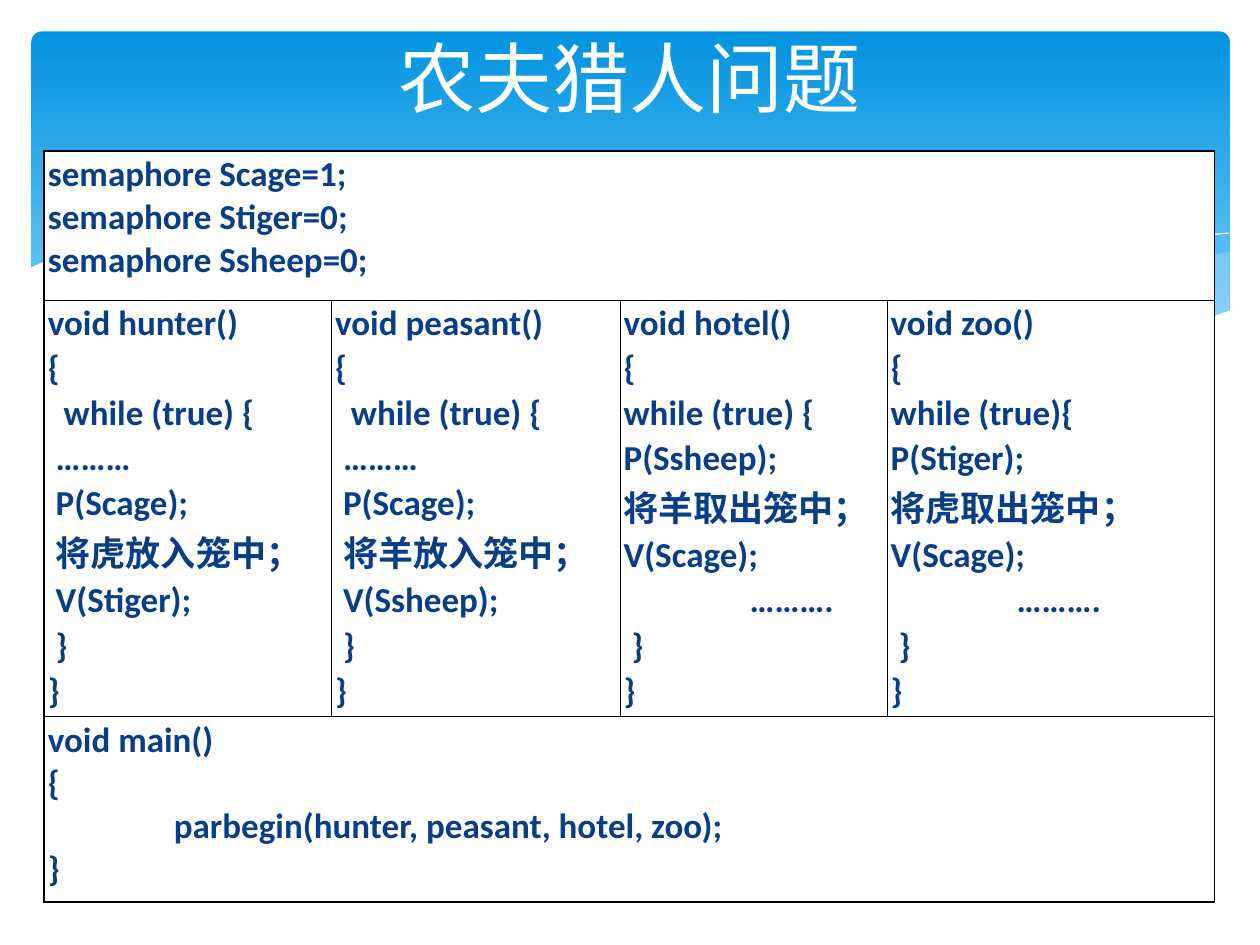
from lxml.etree import SubElement
from pptx import Presentation
from pptx.dml.color import RGBColor as Rgb
from pptx.enum.shapes import MSO_SHAPE as Shape
from pptx.enum.text import MSO_ANCHOR as Anchor, PP_ALIGN as Align
from pptx.oxml.ns import qn
from pptx.util import Inches, Pt

COLOURS = {"top": "0293E0", "bottom": "83D3FE", "mist": "C6E7FC",
           "paper": "FFFFFF", "code": "073E87", "rule": "000000"}
FONT = "Calibri"
UNIT = Inches(0.1)
PAGE = (100, 75)
THICK, THIN = 1.08, 0.45

RIGHT_MIST = [(97.6, 20), (94.8, 20.4), (92.1, 21), (89.1, 21.6), (86.1, 22.3),
              (80.5, 23.7), (75.3, 24.8), (70.6, 25.7), (66.1, 26.5), (69.1, 26.9),
              (71.8, 27.3), (74.5, 27.5), (78.1, 27.7), (81.4, 27.8), (85.4, 27.6),
              (88.1, 27.3), (90.5, 26.9), (92.8, 26.3), (94.9, 25.7), (97.6, 24.7)]
LONG_MIST = [(89.3, 27.3), (86.6, 26.9), (80.7, 26), (74.1, 24.7), (66.8, 23.1),
             (61.3, 21.8), (56.9, 20.8), (52.7, 20), (48.9, 19.4), (44.1, 18.9),
             (39.9, 18.6), (36.1, 18.5), (32.8, 18.7), (28.6, 19.1), (32.3, 19.6),
             (36.2, 20.3), (40.4, 21.1), (44.9, 22.2), (53, 24), (60.1, 25.5),
             (66.5, 26.6), (72.2, 27.4), (77.3, 27.8), (81.8, 27.9), (85.7, 27.7)]
LONG_CREST = [(30.9, 19.5), (33.5, 19.1), (37.4, 18.8), (41.6, 18.7), (46.9, 18.9),
              (53.2, 19.4), (60.8, 20.4), (66.5, 21.3), (72.7, 22.6), (79.5, 24.2),
              (86.8, 26.1), (90.7, 27.2)]
RIGHT_CREST = [(61.3, 25.7), (65.2, 24.6), (69.5, 23.5), (74.8, 22.3), (80.6, 21),
               (86.6, 19.9), (91, 19.2), (95.1, 18.7), (97.5, 18.5)]
WHITE_WAVE = [(97.7, 24.6), (95, 25.6), (92, 26.5), (88.7, 27.1), (85, 27.5),
              (80.9, 27.7), (76.1, 27.5), (70.8, 27), (64.7, 26.2), (57.9, 25),
              (50.3, 23.3), (41.8, 21.3), (36.5, 20.2), (31.5, 19.4), (27.1, 18.8),
              (23, 18.5), (19.3, 18.4), (16.1, 18.4), (13.2, 18.6), (10.6, 18.9),
              (8.5, 19.3), (6.7, 19.7), (5.2, 20.1), (3.6, 20.7), (2.3, 21.3),
              (2.3, 32.9), (97.7, 32.9)]

DECLARATIONS = ["semaphore Scage=1;", "semaphore Stiger=0;", "semaphore Ssheep=0;"]
MAIN = ["void main()", "{", "\tparbegin(hunter, peasant, hotel, zoo);", "}"]


def grid(*steps):
    """Turn grid steps into slide lengths."""
    return [round(step * UNIT) for step in steps]


def colour(name):
    """Look up a named colour."""
    return Rgb.from_string(COLOURS[name])


def producer(name, animal, signal):
    """Return the code of a process that fills the cage."""
    return [f"void {name}()", "{", "  while (true) {", " ………", " P(Scage);",
            f" 将{animal}放入笼中；", f" V({signal});", " }", "}"]


def consumer(name, loop, animal, signal):
    """Return the code of a process that empties the cage."""
    return [f"void {name}()", "{", loop, f"P({signal});", f"将{animal}取出笼中；",
            "V(Scage);", "\t……….", " }", "}"]


def add_tabs(para):
    """Give a paragraph left tab stops at every inch."""
    stops = SubElement(para._p.get_or_add_pPr(), qn("a:tabLst"))
    for inch in range(8):
        SubElement(stops, qn("a:tab"), pos=str(Inches(inch)), algn="l")


def add_span(para, text, size, name, bold=False):
    """Add one styled run."""
    span = para.add_run()
    span.text = text
    span.font.name, span.font.size, span.font.bold = FONT, Pt(size), bold
    span.font.color.rgb = colour(name)


def add_wave(page, points, fill=None, opacity=100):
    """Draw a filled wave, or an open white crest when no fill is given."""
    corners = [tuple(grid(*point)) for point in points]
    builder = page.shapes.build_freeform(*corners[0], scale=1.0)
    builder.add_line_segments(corners[1:], close=bool(fill))
    wave = builder.convert_to_shape()
    wave.shadow.inherit = False
    if fill is None:
        wave.fill.background()
        wave.line.color.rgb = colour("paper")
        wave.line.width = Pt(0)
        return
    wave.line.fill.background()
    wave.fill.solid()
    wave.fill.fore_color.rgb = colour(fill)
    if opacity < 100:
        tint = wave._element.spPr.find(f".//{qn('a:srgbClr')}")
        SubElement(tint, qn("a:alpha"), val=str(opacity * 1000))


def add_backdrop(page, box):
    """Place the gradient panel and the waves across it."""
    panel = page.shapes.add_shape(Shape.ROUNDED_RECTANGLE, *grid(*box))
    panel.adjustments[0] = 0.03
    panel.shadow.inherit = False
    panel.line.fill.background()
    panel.fill.gradient()
    panel.fill.gradient_angle = 270
    for stop, name in zip(panel.fill.gradient_stops, ("top", "bottom")):
        stop.color.rgb = colour(name)
    add_wave(page, RIGHT_MIST, "mist", 29)
    add_wave(page, LONG_MIST, "mist", 40)
    add_wave(page, LONG_CREST)
    add_wave(page, RIGHT_CREST)
    add_wave(page, WHITE_WAVE, "paper")


def add_title(page, box, text):
    """Place the centred title."""
    frame = page.shapes.add_textbox(*grid(*box)).text_frame
    frame.word_wrap = True
    frame.vertical_anchor = Anchor.MIDDLE
    para = frame.paragraphs[0]
    add_tabs(para)
    para.alignment = Align.CENTER
    add_span(para, text, 44, "paper")


def style_cell(cell, widths):
    """Set margins, borders and fill of a cell."""
    cell.margin_left, cell.margin_right = grid(0.3, 0.1)
    cell.margin_top, cell.margin_bottom = grid(0.5, 0.5)
    properties = cell._tc.get_or_add_tcPr()
    for side, width in zip("LRTB", widths):
        edge = SubElement(properties, qn(f"a:ln{side}"), w=str(Pt(width)))
        paint = SubElement(edge, qn("a:solidFill"))
        SubElement(paint, qn("a:srgbClr"), val=COLOURS["rule"])
    cell.fill.solid()
    cell.fill.fore_color.rgb = colour("paper")


def write_code(cell, lines, gap):
    """Write code lines into a cell, one paragraph each."""
    for index, line in enumerate(lines):
        para = cell.text_frame.paragraphs[0] if index == 0 else cell.text_frame.add_paragraph()
        add_tabs(para)
        para.line_spacing = 0.85
        para.space_before = Pt(gap if index else 0)
        add_span(para, line, 20, "code", True)


def add_code_table(page, box, columns, rows, processes):
    """Place the table of declarations, processes and main program."""
    table = page.shapes.add_table(len(rows), len(columns), *grid(*box)).table
    table.first_row = table.horz_banding = False
    for column, width in zip(table.columns, grid(*columns)):
        column.width = width
    for row, height in zip(table.rows, grid(*rows)):
        row.height = height
    last_row, last_column = len(rows) - 1, len(columns) - 1
    for r in range(len(rows)):
        for c in range(len(columns)):
            outer = (c == 0 or r != 1, c == last_column or r != 1, r == 0, r == last_row)
            style_cell(table.cell(r, c), [THICK if edge else THIN for edge in outer])
    for r, lines in ((0, DECLARATIONS), (last_row, MAIN)):
        table.cell(r, 0).merge(table.cell(r, last_column))
        write_code(table.cell(r, 0), lines, 3.7)
    for c, lines in enumerate(processes):
        write_code(table.cell(1, c), lines, 5)


def main():
    """Build and save the deck."""
    deck = Presentation()
    deck.slide_width, deck.slide_height = grid(*PAGE)
    page = deck.slides.add_slide(deck.slide_layouts[6])
    add_backdrop(page, (2.5, 2.5, 95.1, 27))
    processes = [producer("hunter", "虎", "Stiger"),
                 producer("peasant", "羊", "Ssheep"),
                 consumer("hotel", "while (true) {", "羊", "Ssheep"),
                 consumer("zoo", "while (true){", "虎", "Stiger")]
    add_code_table(page, (3.5, 12, 92.9, 58.6), (22.8, 22.9, 21.2, 26),
                   (11.8, 32.1, 14.7), processes)
    add_title(page, (7.5, 2.1, 85, 7.9), "农夫猎人问题")
    deck.save("out.pptx")


if __name__ == "__main__":
    main()
